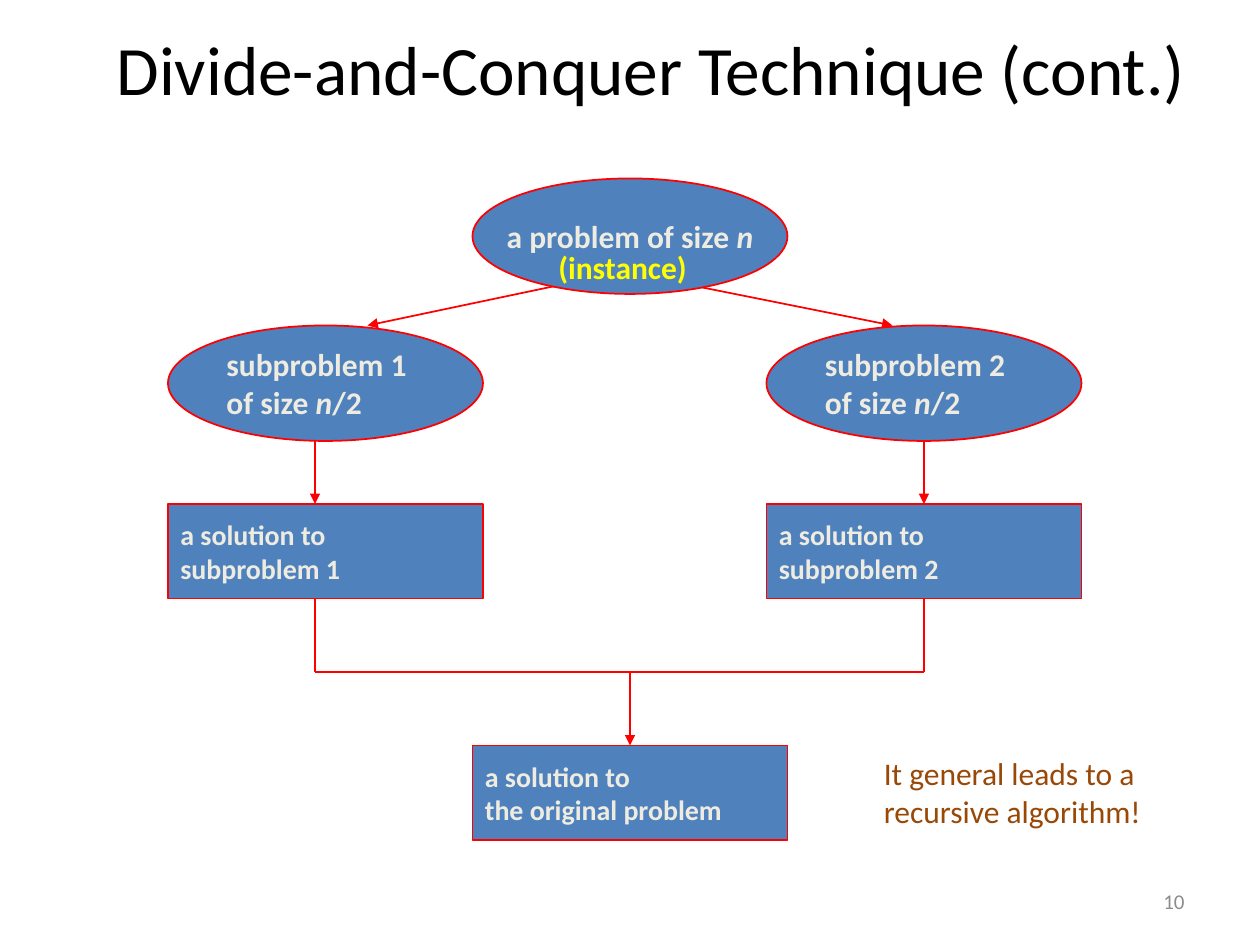
from dataclasses import dataclass

from lxml.etree import SubElement
from pptx import Presentation
from pptx.dml.color import RGBColor
from pptx.enum.shapes import MSO_CONNECTOR as Connector, MSO_SHAPE as Shape
from pptx.enum.text import MSO_ANCHOR as Anchor, PP_ALIGN as Align
from pptx.oxml.ns import qn
from pptx.util import Emu, Pt

PX = 7620
FONT = "Calibri"
BLACK = RGBColor(0x00, 0x00, 0x00)
BLUE = RGBColor(0x4F, 0x81, 0xBD)
RED = RGBColor(0xFF, 0x00, 0x00)
CREAM = RGBColor(0xEE, 0xEC, 0xE1)
YELLOW = RGBColor(0xFF, 0xFF, 0x00)
BROWN = RGBColor(0x98, 0x48, 0x07)
GRAY = RGBColor(0x8C, 0x8C, 0x8C)

NODE_W, ELLIPSE_H, RECT_H = 300, 110, 90
LEFT_X, MID_X, RIGHT_X = 160, 450, 730
PROBLEM_Y, SUBPROBLEM_Y, SOLUTION_Y, RESULT_Y = 170, 310, 480, 710
LEFT_AXIS, MID_AXIS, RIGHT_AXIS = 300, 600, 880
JOIN_Y = 640


@dataclass
class Node:
    kind: Shape
    x: int
    y: int
    lines: list[list[str]]
    align: Align = Align.LEFT


@dataclass
class Link:
    x1: int
    y1: int
    x2: int
    y2: int
    arrow: bool = True


@dataclass
class Label:
    x: int
    y: int
    w: int
    h: int
    text: str
    size: float
    color: RGBColor
    bold: bool = False
    align: Align = Align.LEFT
    anchor: Anchor = Anchor.TOP


def px(n: int) -> Emu:
    return Emu(n * PX)


def style_run(r, size: float, color: RGBColor, bold: bool) -> None:
    r.font.name = FONT
    r.font.size = Pt(size)
    r.font.bold = bold
    r.font.color.rgb = color


def draw_node(s, node: Node) -> None:
    is_ellipse = node.kind == Shape.OVAL
    h = ELLIPSE_H if is_ellipse else RECT_H
    sp = s.shapes.add_shape(node.kind, px(node.x), px(node.y), px(NODE_W), px(h))
    sp.shadow.inherit = False
    sp.fill.solid()
    sp.fill.fore_color.rgb = BLUE
    sp.line.color.rgb = RED
    sp.line.width = Pt(1)
    tf = sp.text_frame
    tf.word_wrap = False
    tf.vertical_anchor = Anchor.MIDDLE
    for i, pieces in enumerate(node.lines):
        p = tf.paragraphs[0] if i == 0 else tf.add_paragraph()
        p.alignment = node.align
        for piece in pieces:
            r = p.add_run()
            r.text = piece
            style_run(r, 18 if is_ellipse else 16, CREAM, True)
            r.font.italic = piece == "n"


def draw_link(s, link: Link) -> None:
    c = s.shapes.add_connector(Connector.STRAIGHT, px(link.x1), px(link.y1),
                               px(link.x2), px(link.y2))
    c.line.color.rgb = RED
    c.line.width = Pt(1)
    if link.arrow:
        SubElement(c.line._get_or_add_ln(), qn("a:tailEnd"), type="triangle")
    SubElement(c._element.spPr, qn("a:effectLst"))


def draw_label(s, label: Label) -> None:
    tb = s.shapes.add_textbox(px(label.x), px(label.y), px(label.w), px(label.h))
    tf = tb.text_frame
    tf.word_wrap = True
    tf.vertical_anchor = label.anchor
    tf.text = label.text
    p = tf.paragraphs[0]
    p.alignment = label.align
    style_run(p.runs[0], label.size, label.color, label.bold)


def main() -> None:
    prs = Presentation()
    prs.slide_width, prs.slide_height = px(1200), px(900)
    s = prs.slides.add_slide(prs.slide_layouts[6])

    nodes = [
        Node(Shape.OVAL, MID_X, PROBLEM_Y, [["a problem of size ", "n"]], Align.CENTER),
        Node(Shape.RECTANGLE, MID_X, RESULT_Y,
             [["a solution to"], ["the original problem"]]),
    ]
    links = [
        Link(540, 270, 350, SUBPROBLEM_Y),
        Link(650, 270, 850, SUBPROBLEM_Y),
        Link(LEFT_AXIS, JOIN_Y, RIGHT_AXIS, JOIN_Y, arrow=False),
        Link(MID_AXIS, JOIN_Y, MID_AXIS, RESULT_Y),
    ]
    for number, x, axis in ((1, LEFT_X, LEFT_AXIS), (2, RIGHT_X, RIGHT_AXIS)):
        name = f"subproblem {number}"
        nodes += [
            Node(Shape.OVAL, x, SUBPROBLEM_Y, [[name], ["of size ", "n", "/2"]]),
            Node(Shape.RECTANGLE, x, SOLUTION_Y, [["a solution to"], [name]]),
        ]
        links += [
            Link(axis, SUBPROBLEM_Y + ELLIPSE_H, axis, SOLUTION_Y),
            Link(axis, SOLUTION_Y + RECT_H, axis, JOIN_Y, arrow=False),
        ]
    labels = [
        Label(80, 20, 1080, 90, "Divide-and-Conquer Technique (cont.)", 39.6, BLACK,
              align=Align.CENTER, anchor=Anchor.MIDDLE),
        Label(520, 230, 190, 48, "(instance)", 18, YELLOW, bold=True),
        Label(830, 712, 360, 85, "It general leads to a recursive algorithm!", 18, BROWN),
        Label(860, 834, 280, 48, "10", 12, GRAY, align=Align.RIGHT, anchor=Anchor.MIDDLE),
    ]

    for link in links:
        draw_link(s, link)
    for node in nodes:
        draw_node(s, node)
    for label in labels:
        draw_label(s, label)
    prs.save("out.pptx")


if __name__ == "__main__":
    main()
